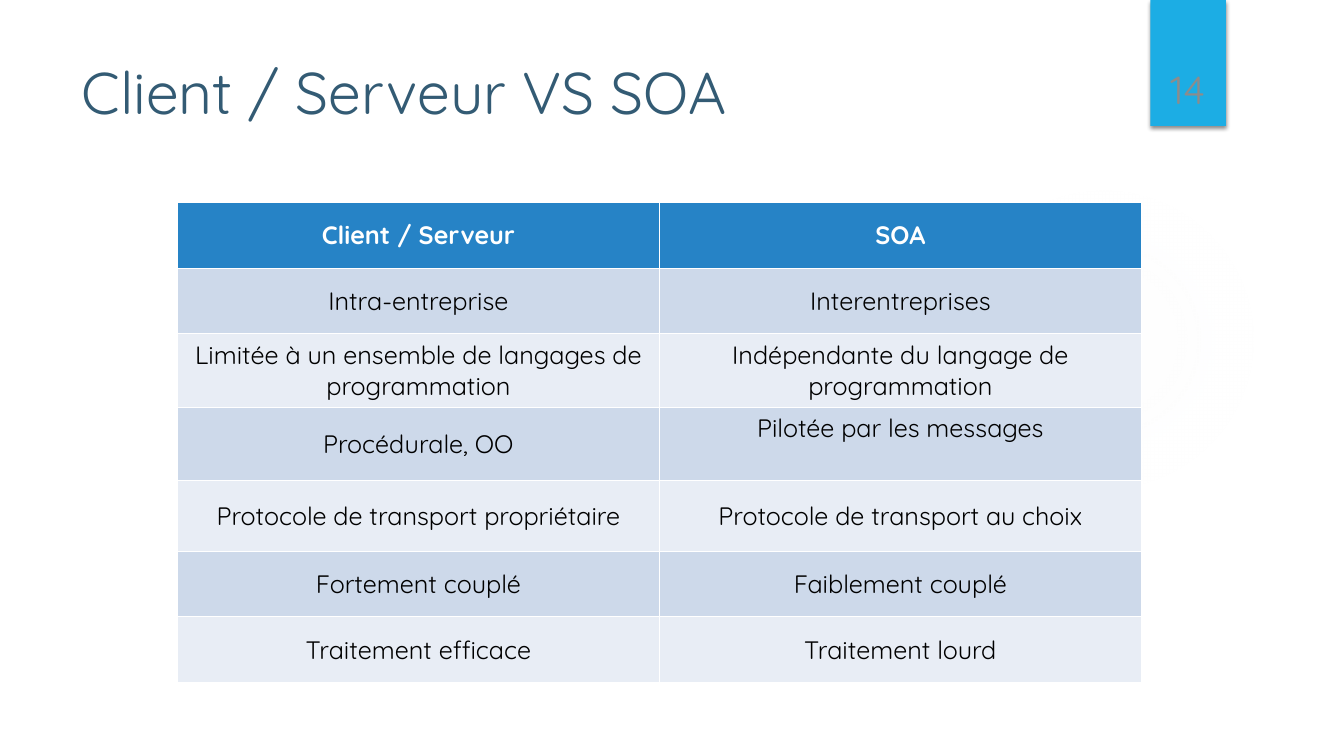
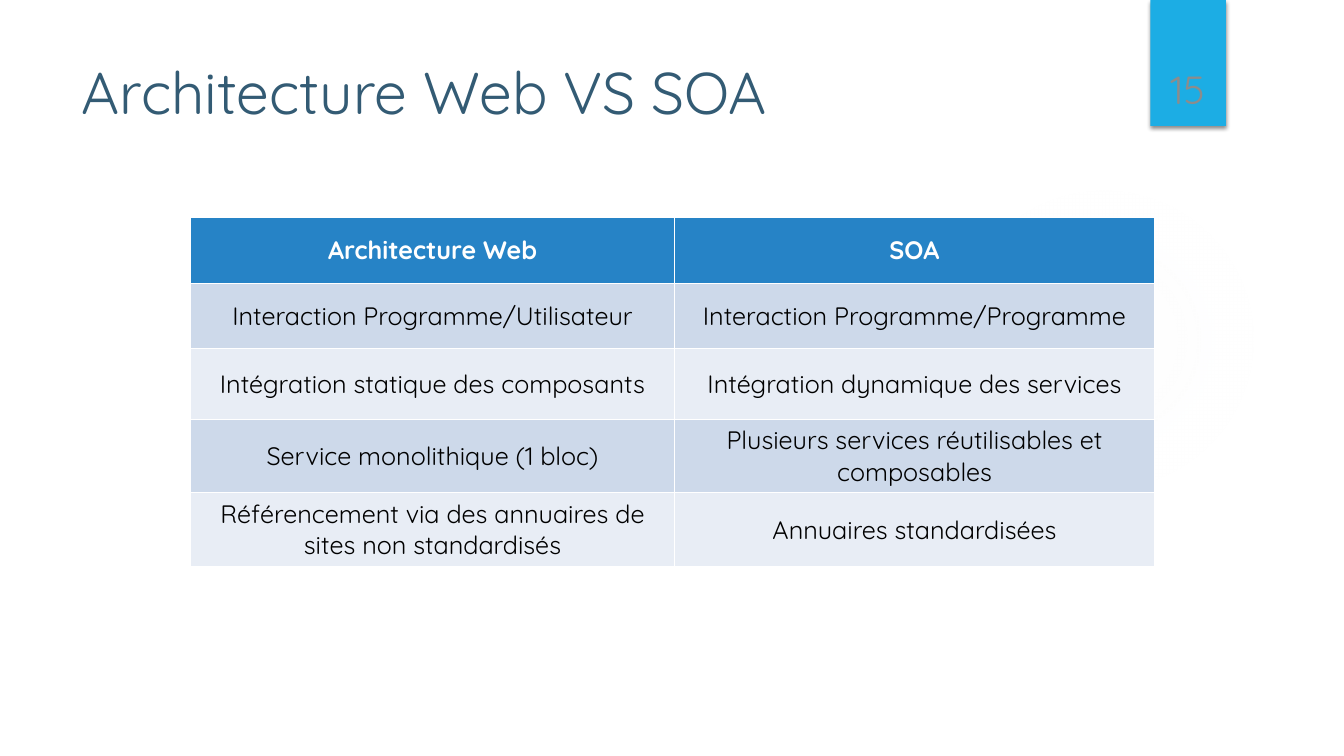
from lxml import etree
from pptx import Presentation
from pptx.dml.color import RGBColor
from pptx.enum import shapes, text
from pptx.oxml.ns import nsdecls
from pptx.util import Inches, Pt

HUES = {
    "title": "335B74", "band": "1CADE4", "glow": "F2F4F5", "page": "8C8C8C",
    "head": "2683C6", "odd": "CDD9EA", "even": "E8EDF5",
    "white": "FFFFFF", "black": "000000",
}
FACE = "Quicksand"
MID, TOP = text.MSO_ANCHOR.MIDDLE, text.MSO_ANCHOR.TOP
LEFT, CENTER = text.PP_ALIGN.LEFT, text.PP_ALIGN.CENTER
ROW, TALL = 0.65, 0.73

SLIDES = [
    {
        "title": "Client / Serveur VS SOA", "page": 14,
        "spot": (1.76, 2.01), "cols": (4.78, 4.78),
        "rows": (ROW, ROW, TALL, TALL, 0.7, ROW, ROW),
        "raised": (3, 1),
        "cells": [
            ("Client / Serveur", "SOA"),
            ("Intra-entreprise", "Interentreprises"),
            ("Limitée à un ensemble de langages de programmation",
             "Indépendante du langage de programmation"),
            ("Procédurale, OO", "Pilotée par les messages"),
            ("Protocole de transport propriétaire",
             "Protocole de transport au choix"),
            ("Fortement couplé", "Faiblement couplé"),
            ("Traitement efficace", "Traitement lourd"),
        ],
    },
    {
        "title": "Architecture Web VS SOA", "page": 15,
        "spot": (1.89, 2.16), "cols": (4.8, 4.76),
        "rows": (ROW, ROW, 0.7, TALL, TALL),
        "raised": None,
        "cells": [
            ("Architecture Web", "SOA"),
            ("Interaction Programme/Utilisateur",
             "Interaction Programme/Programme"),
            ("Intégration statique des composants",
             "Intégration dynamique des services"),
            ("Service monolithique (1 bloc)",
             "Plusieurs services réutilisables et composables"),
            ("Référencement via des annuaires de sites non standardisés",
             "Annuaires standardisées"),
        ],
    },
]


def rgb(name):
    return RGBColor.from_string(HUES[name])


def style(frame, words, size, hue, align=LEFT, bold=False):
    """Write one line of text and format it."""
    frame.text = words
    para = frame.paragraphs[0]
    para.alignment = align
    font = para.runs[0].font
    for key, value in {"name": FACE, "size": Pt(size), "bold": bold}.items():
        setattr(font, key, value)
    font.color.rgb = rgb(hue)


def place(shape, *box):
    for key, value in zip(("left", "top", "width", "height"), box):
        setattr(shape, key, Inches(value))


def add_plain(slide, kind, *box):
    shape = slide.shapes.add_shape(kind, *map(Inches, box))
    shape.shadow.inherit = False
    shape.line.fill.background()
    return shape


def add_decor(slide, layout):
    """Build the glow and the band, and hand them to the layout."""
    glow = add_plain(slide, shapes.MSO_SHAPE.OVAL, 9.41, 1.83, 3.08, 3.08)
    stops = "".join(
        f'<a:gs pos="{pos * 1000}"><a:srgbClr val="{HUES["glow"]}">'
        f'<a:alpha val="{alpha * 1000}"/></a:srgbClr></a:gs>'
        for pos, alpha in ((0, 7), (36, 6), (69, 0)))
    grad = etree.fromstring(
        f'<a:gradFill {nsdecls("a")}><a:gsLst>{stops}</a:gsLst>'
        '<a:path path="circle"><a:fillToRect l="50000" t="50000" '
        'r="50000" b="50000"/></a:path></a:gradFill>')
    glow.fill.background()
    old = glow.element.spPr.find("{*}noFill")
    glow.element.spPr.replace(old, grad)

    band = add_plain(slide, shapes.MSO_SHAPE.RECTANGLE, 11.41, 0, 0.75, 1.25)
    band.fill.solid()
    band.fill.fore_color.rgb = rgb("band")
    band.element.spPr.find("{*}effectLst").append(etree.fromstring(
        f'<a:outerShdw {nsdecls("a")} blurRad="{Pt(3)}" dist="{Pt(2)}" '
        f'dir="5400000" rotWithShape="0"><a:srgbClr val="{HUES["black"]}">'
        '<a:alpha val="45000"/></a:srgbClr></a:outerShdw>'))

    for shape in (glow, band):
        layout.shapes.element.append(shape.element)


def add_title(slide, words):
    title = slide.shapes.title
    place(title, 0.71, 0.5, 10.29, 1.53)
    frame = title.text_frame
    style(frame, words, 42, "title")
    frame.vertical_anchor = TOP
    frame.auto_size = text.MSO_AUTO_SIZE.NONE


def add_page(slide, number):
    box = slide.shapes.add_textbox(*map(Inches, (11.32, 0.32, 0.92, 0.84)))
    frame = box.text_frame
    frame.word_wrap = True
    frame.vertical_anchor = text.MSO_ANCHOR.BOTTOM
    style(frame, str(number), 28, "page", CENTER)


def add_grid(slide, data):
    cols, rows = data["cols"], data["rows"]
    box = (*data["spot"], sum(cols), sum(rows))
    grid = slide.shapes.add_table(
        len(rows), len(cols), *map(Inches, box)).table
    for col, width in zip(grid.columns, cols):
        col.width = Inches(width)
    for row, height in zip(grid.rows, rows):
        row.height = Inches(height)
    for r, line in enumerate(data["cells"]):
        head = r == 0
        fill = "head" if head else "odd" if r % 2 else "even"
        for c, words in enumerate(line):
            cell = grid.cell(r, c)
            cell.fill.solid()
            cell.fill.fore_color.rgb = rgb(fill)
            cell.vertical_anchor = TOP if (r, c) == data["raised"] else MID
            style(cell.text_frame, words, 18,
                  "white" if head else "black", CENTER, head)


def main():
    prs = Presentation()
    prs.slide_width, prs.slide_height = Inches(13.33), Inches(7.5)
    layout = prs.slide_layouts[5]
    for n, data in enumerate(SLIDES):
        slide = prs.slides.add_slide(layout)
        if n == 0:
            add_decor(slide, layout)
        add_title(slide, data["title"])
        add_grid(slide, data)
        add_page(slide, data["page"])
    prs.save("out.pptx")


if __name__ == "__main__":
    main()
